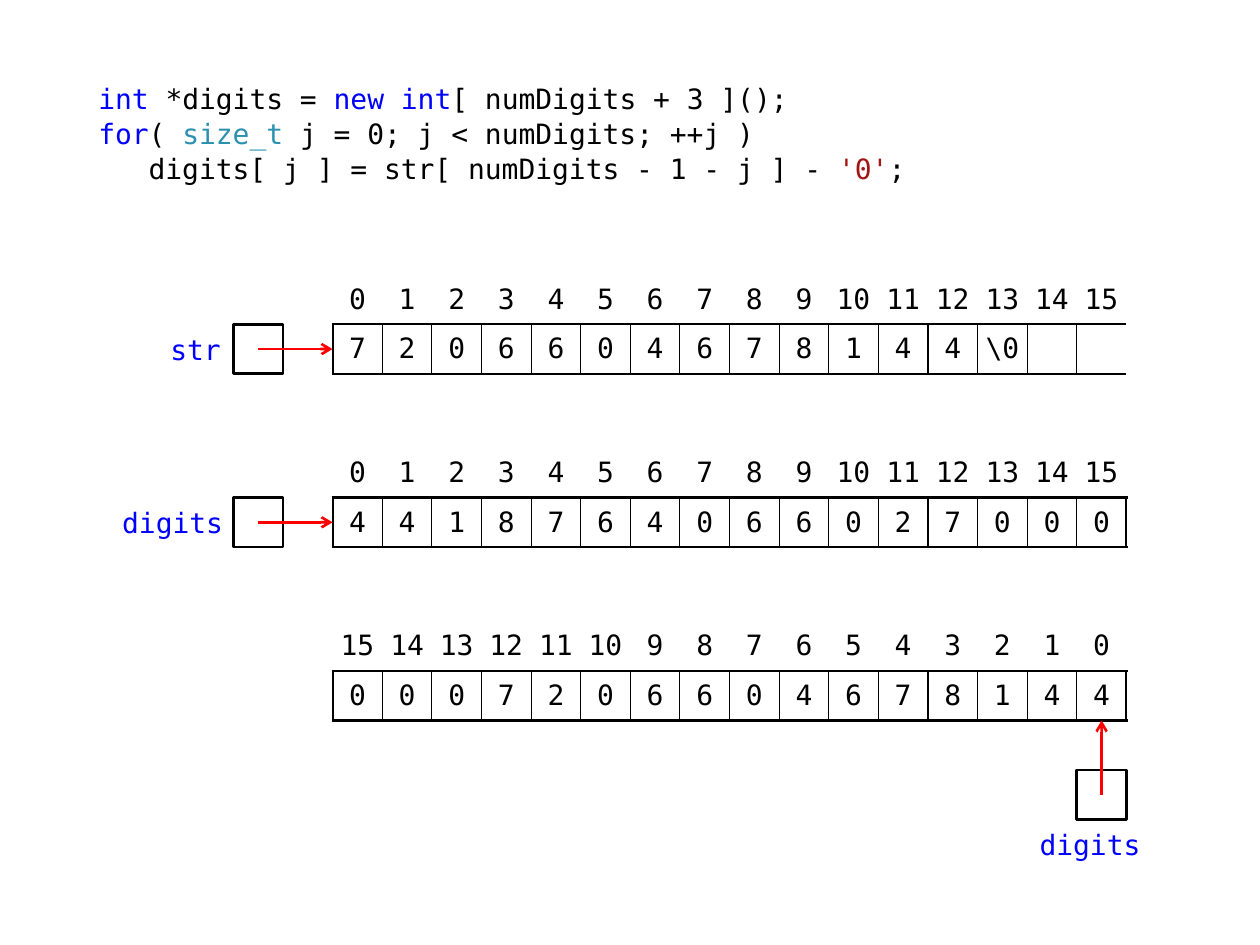
from dataclasses import dataclass

from pptx import Presentation
from pptx import util as u
from pptx.dml.color import RGBColor
from pptx.enum import shapes, text
from pptx.oxml.ns import qn
from lxml import etree

COLORS = {
    "black": "000000",
    "white": "FFFFFF",
    "keyword": "0000FF",
    "type": "2B91AF",
    "literal": "A31515",
    "arrow": "FF0000",
}
FONT = "DejaVu Sans Mono"
FONT_SIZE = 16
COUNT = 16
TABLE_LEFT = 2.64
TABLE_WIDTH = 6.3
CELL = TABLE_WIDTH / COUNT
FIRST_TOP = 2.18
ROW_STEP = 1.375
THICK, THIN = 1.5, 0.75

CODE = [
    [("int ", "keyword"), ("*digits = ", "black"), ("new int", "keyword"),
     ("[ numDigits + 3 ]();", "black")],
    [("for", "keyword"), ("( ", "black"), ("size_t", "type"),
     (" j = 0; j < numDigits; ++j )", "black")],
    [("digits[ j ] = str[ numDigits - 1 - j ] - ", "black"),
     ("'0'", "literal"), (";", "black")],
]


@dataclass
class Array:
    indices: list[int]
    values: list[str]
    closed: bool = True

    def borders(self, row: int, column: int) -> dict[str, float]:
        """Line widths in points by side; zero means no line."""
        if row == 0:
            return {"L": 0, "R": 0, "T": 0, "B": THICK}
        right = THIN
        if column == COUNT - 1:
            right = THICK if self.closed else 0
        return {"L": THIN if column else THICK, "R": right, "T": THICK, "B": THICK}


@dataclass
class Pointer:
    label: str
    left: float
    top: float
    arrow_dx: float
    arrow_dy: float
    label_at: tuple[float, float, float]
    align: text.PP_ALIGN = text.PP_ALIGN.RIGHT
    margins: tuple[float, float] = (0, 0.1)


def row_top(number: int) -> float:
    return FIRST_TOP + number * ROW_STEP


def add_run(paragraph, content: str, *, color: str = "black",
            size: float = FONT_SIZE) -> None:
    run = paragraph.add_run()
    run.text = content
    run.font.name = FONT
    run.font.size = u.Pt(size)
    run.font.bold = False
    run.font.color.rgb = RGBColor.from_string(COLORS[color])


def add_text_box(slide, left: float, top: float, width: float, height: float,
                 margins: tuple[float, float], anchor=text.MSO_ANCHOR.MIDDLE):
    box = slide.shapes.add_textbox(
        u.Inches(left), u.Inches(top), u.Inches(width), u.Inches(height))
    frame = box.text_frame
    frame.word_wrap = True
    frame.vertical_anchor = anchor
    frame.margin_left, frame.margin_right = (u.Inches(m) for m in margins)
    return frame


def add_code(slide) -> None:
    frame = add_text_box(slide, 0.28, 0.6, 9.45, 0.98, (0.5, 0.1),
                         text.MSO_ANCHOR.TOP)
    for number, line in enumerate(CODE):
        paragraph = frame.add_paragraph() if number else frame.paragraphs[0]
        paragraph.space_after = u.Pt(0.8)
        for content, color in line:
            add_run(paragraph, content, color=color)
    # The loop body is indented by three characters.
    paragraph._p.get_or_add_pPr().set("marL", str(u.Inches(0.4)))


def set_borders(cell, widths: dict[str, float]) -> None:
    properties = cell._tc.get_or_add_tcPr()
    for side, width in widths.items():
        line = etree.SubElement(properties, qn(f"a:ln{side}"), w=str(u.Pt(width)))
        if width:
            fill = etree.SubElement(line, qn("a:solidFill"))
            etree.SubElement(fill, qn("a:srgbClr"), val=COLORS["black"])
        else:
            etree.SubElement(line, qn("a:noFill"))


def add_array(slide, array: Array, top: float) -> None:
    table = slide.shapes.add_table(
        2, COUNT, u.Inches(TABLE_LEFT), u.Inches(top),
        u.Inches(TABLE_WIDTH), u.Inches(2 * CELL)).table
    table.first_row = table.horz_banding = False
    for row, items in enumerate((array.indices, array.values)):
        for column, item in enumerate(items):
            cell = table.cell(row, column)
            cell.margin_left = cell.margin_right = 0
            cell.margin_top = cell.margin_bottom = 0
            cell.vertical_anchor = text.MSO_ANCHOR.MIDDLE
            set_borders(cell, array.borders(row, column))
            cell.fill.background()
            paragraph = cell.text_frame.paragraphs[0]
            paragraph.alignment = text.PP_ALIGN.CENTER
            if item != "":
                add_run(paragraph, str(item))


def add_arrow(slide, x: float, y: float, dx: float, dy: float) -> None:
    arrow = slide.shapes.add_connector(
        shapes.MSO_CONNECTOR.STRAIGHT, u.Inches(x), u.Inches(y),
        u.Inches(x + dx), u.Inches(y + dy))
    arrow.line.width = u.Pt(THICK)
    arrow.line.color.rgb = RGBColor.from_string(COLORS["arrow"])
    etree.SubElement(arrow.line._get_or_add_ln(), qn("a:tailEnd"), type="arrow")
    etree.SubElement(arrow._element.spPr, qn("a:effectLst"))


def add_pointer(slide, pointer: Pointer) -> None:
    """Draw a labelled box with an arrow from its centre."""
    box = slide.shapes.add_shape(
        shapes.MSO_SHAPE.RECTANGLE, u.Inches(pointer.left), u.Inches(pointer.top),
        u.Inches(CELL), u.Inches(CELL))
    box.shadow.inherit = False
    box.fill.solid()
    box.fill.fore_color.rgb = RGBColor.from_string(COLORS["white"])
    box.line.color.rgb = RGBColor.from_string(COLORS["black"])
    box.line.width = u.Pt(THICK)
    add_arrow(slide, pointer.left + CELL / 2, pointer.top + CELL / 2,
              pointer.arrow_dx, pointer.arrow_dy)
    frame = add_text_box(slide, *pointer.label_at, CELL, pointer.margins)
    paragraph = frame.paragraphs[0]
    paragraph.alignment = pointer.align
    add_run(paragraph, pointer.label, color="keyword")


def main() -> None:
    presentation = Presentation()
    presentation.slide_width = u.Inches(10)
    presentation.slide_height = u.Inches(7.5)
    slide = presentation.slides.add_slide(presentation.slide_layouts[6])

    add_code(slide)

    ascending = list(range(COUNT))
    digits = list("4418764066027000")
    arrays = [
        Array(ascending, [*"7206604678144", "\\0", "", ""], closed=False),
        Array(ascending, digits),
        Array(ascending[::-1], digits[::-1]),
    ]
    for number, array in enumerate(arrays):
        add_array(slide, array, row_top(number))

    side_left = TABLE_LEFT - 2 * CELL
    str_top, digits_top = row_top(0) + CELL, row_top(1) + CELL
    below_left, below_top = TABLE_LEFT + 15 * CELL, row_top(2) + 3 * CELL
    pointers = [
        Pointer("str", side_left, str_top, 1.5 * CELL, 0, (1.06, str_top, 0.79)),
        Pointer("digits", side_left, digits_top, 1.5 * CELL, 0,
                (0.87, digits_top, 0.98), margins=(0, 0.08)),
        Pointer("digits", below_left, below_top, 0, -1.5 * CELL,
                (below_left - CELL, below_top + CELL, 3 * CELL),
                text.PP_ALIGN.LEFT, (0.1, 0.1)),
    ]
    for pointer in pointers:
        add_pointer(slide, pointer)

    presentation.save("out.pptx")


if __name__ == "__main__":
    main()
